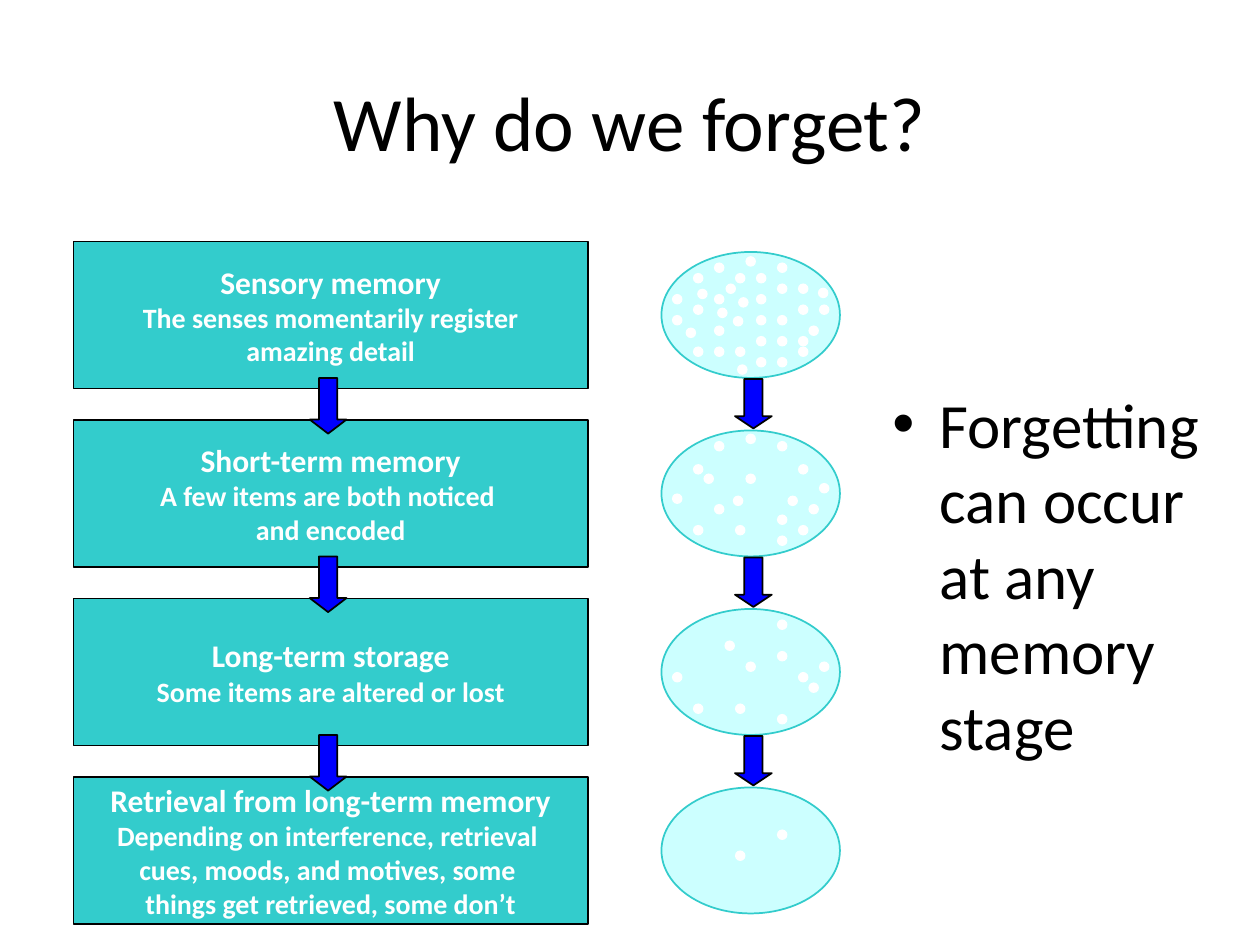
from lxml.etree import SubElement
from pptx import Presentation
from pptx.dml.color import RGBColor
from pptx.enum.shapes import MSO_SHAPE
from pptx.enum.text import MSO_ANCHOR, PP_ALIGN
from pptx.oxml.ns import qn
from pptx.util import Emu, Pt

PX = 7620
BLACK = RGBColor(0x00, 0x00, 0x00)
WHITE = RGBColor(0xFF, 0xFF, 0xFF)
TEAL = RGBColor(0x33, 0xCC, 0xCC)
PALE = RGBColor(0xCC, 0xFF, 0xFF)
BLUE = RGBColor(0x00, 0x00, 0xFF)

ROW_PITCH = 170
OVAL_LEFT, OVAL_TOP = 630, 240
DOT_SIZE = 10

STAGES = [
    ["Sensory memory", "The senses momentarily register", "amazing detail"],
    ["Short-term memory", "A few items are both noticed ", "and encoded"],
    ["Long-term storage", "Some items are altered or lost"],
    ["Retrieval from long-term memory", "Depending on interference, retrieval ",
     "cues, moods, and motives, some ", "things get retrieved, some don’t"],
]
DOTS = [
    [(30, 20), (50, 40), (68, 61), (90, 80), (110, 100), (70, 20),
     (90, 40), (110, 60), (130, 80), (10, 40), (30, 50), (10, 60),
     (23, 72), (80, 4), (110, 30), (130, 50), (140, 70), (50, 70),
     (70, 90), (50, 90), (50, 10), (73, 43), (110, 10), (130, 30),
     (150, 50), (90, 60), (90, 100), (30, 90), (110, 80), (53, 53),
     (130, 90), (149, 34), (72, 107), (90, 20), (34, 35), (61, 30)],
    [(68, 62), (110, 100), (120, 62), (30, 32), (10, 60), (80, 3),
     (140, 70), (50, 70), (70, 90), (50, 10), (80, 41), (110, 10),
     (150, 50), (30, 90), (110, 80), (130, 90), (130, 32), (40, 41)],
    [(110, 100), (110, 40), (10, 60), (140, 70), (70, 90), (60, 30),
     (110, 10), (150, 50), (30, 90), (130, 60), (80, 50)],
    [(110, 40), (70, 60)],
]
ARROWS = {"left": (295, 360, 35, 53, 0.381), "right": (700, 361, 35, 47, 0.333)}

deck = Presentation()
deck.slide_width = Emu(1200 * PX)
deck.slide_height = Emu(900 * PX)
page = deck.slides.add_slide(deck.slide_layouts[6])


def add_figure(preset, left, top, width, height, fill, line=None):
    figure = page.shapes.add_shape(preset, *(Emu(v * PX) for v in (left, top, width, height)))
    figure.shadow.inherit = False
    figure.fill.solid()
    figure.fill.fore_color.rgb = fill
    if line is None:
        figure.line.fill.background()
    else:
        figure.line.color.rgb = line
        figure.line.width = Pt(1)
    return figure


def write_lines(box, lines, sizes, color, bold, align, anchor, wrap):
    frame = box.text_frame
    for name, value in {"word_wrap": wrap, "vertical_anchor": anchor}.items():
        setattr(frame, name, value)
    for index, line in enumerate(lines):
        para = frame.paragraphs[0] if index == 0 else frame.add_paragraph()
        para.alignment = align
        span = para.add_run()
        span.text = line
        size = Pt(sizes[min(index, len(sizes) - 1)])
        for name, value in {"name": "Calibri", "size": size, "bold": bold}.items():
            setattr(span.font, name, value)
        span.font.color.rgb = color


title = page.shapes.add_textbox(*(Emu(v * PX) for v in (90, 40, 1020, 150)))
write_lines(title, ["Why do we forget?"], [44], BLACK, False,
            PP_ALIGN.CENTER, MSO_ANCHOR.MIDDLE, True)

body = page.shapes.add_textbox(*(Emu(v * PX) for v in (838, 361, 323, 408)))
write_lines(body, ["Forgetting can occur at any memory stage"], [36], BLACK, False,
            PP_ALIGN.LEFT, MSO_ANCHOR.TOP, True)
para = body.text_frame.paragraphs[0]
para.space_before = Pt(7)
bullet_format = para._p.get_or_add_pPr()
for name, value in {"marL": 45 * PX, "indent": -45 * PX}.items():
    bullet_format.set(name, str(value))
SubElement(bullet_format, qn("a:buFont")).set("typeface", "Arial")
SubElement(bullet_format, qn("a:buChar")).set("char", "•")

for row, lines in enumerate(STAGES):
    box = add_figure(MSO_SHAPE.RECTANGLE, 70, 230 + row * ROW_PITCH, 490, 140, TEAL, BLACK)
    write_lines(box, lines, [18, 16], WHITE, True,
                PP_ALIGN.CENTER, MSO_ANCHOR.MIDDLE, False)

for row, dots in enumerate(DOTS):
    oval_top = OVAL_TOP + row * ROW_PITCH
    add_figure(MSO_SHAPE.OVAL, OVAL_LEFT, oval_top, 170, 120, PALE, TEAL)
    for x, y in dots:
        add_figure(MSO_SHAPE.FLOWCHART_CONNECTOR, OVAL_LEFT + x, oval_top + y,
                   DOT_SIZE, DOT_SIZE, WHITE)

for left, top, width, height, head in ARROWS.values():
    for row in range(len(STAGES) - 1):
        arrow = add_figure(MSO_SHAPE.DOWN_ARROW, left, top + row * ROW_PITCH,
                           width, height, BLUE, BLACK)
        arrow.adjustments[0] = 0.5
        arrow.adjustments[1] = head

deck.save("out.pptx")
